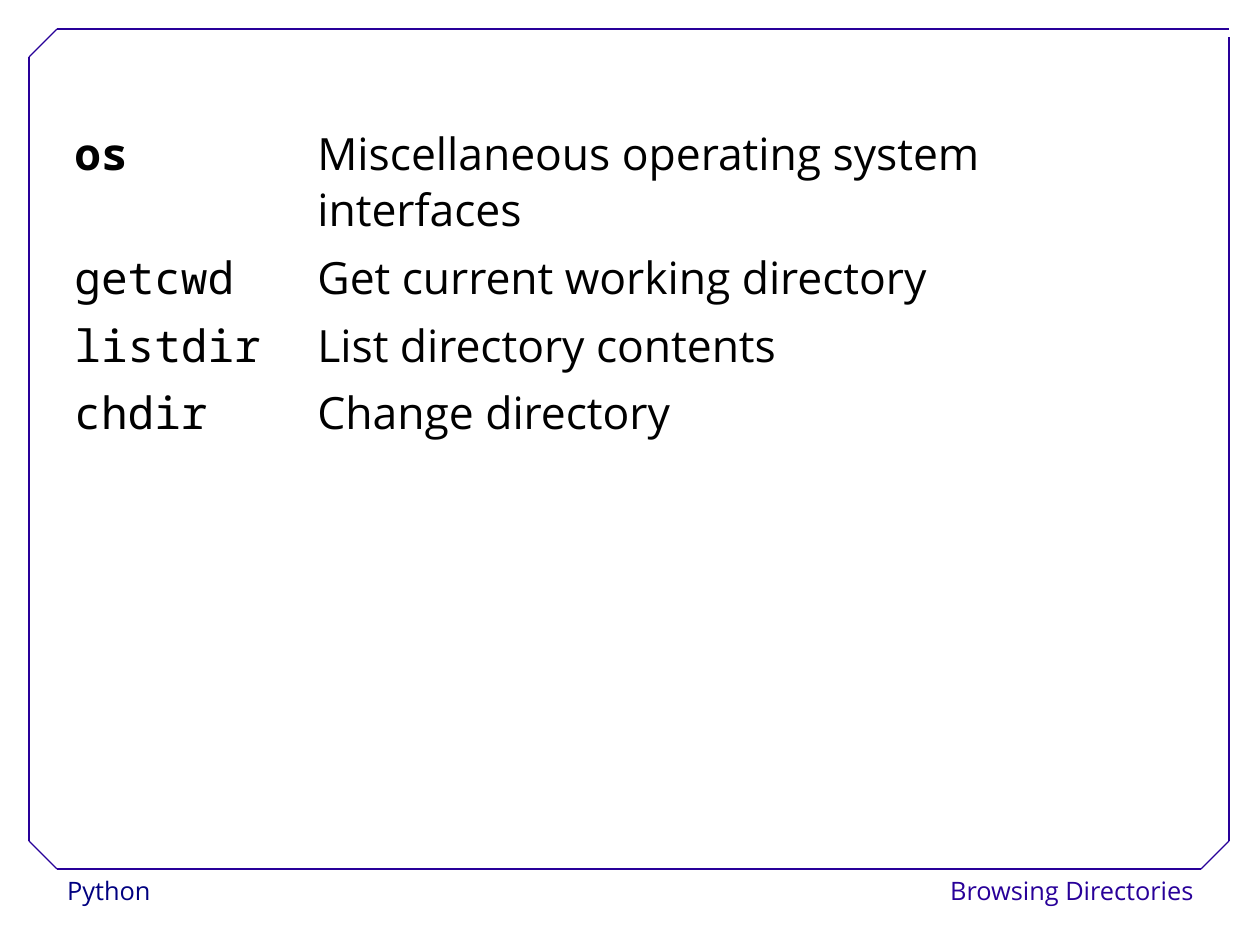
from pptx import Presentation
from pptx.dml.color import RGBColor
from pptx.enum.shapes import MSO_CONNECTOR as Connector, MSO_SHAPE as Shape
from pptx.enum.text import MSO_ANCHOR as Anchor, PP_ALIGN as Align
from pptx.oxml.ns import qn
from pptx.util import Emu, Pt
from lxml.etree import SubElement


def px(length):
    return Emu(length * 8000)


def color(value):
    return RGBColor.from_string(value)


class SlideBuilder:
    sans = "Open Sans"
    mono = "Noto Sans Mono"
    black = "000000"
    white = "FFFFFF"
    navy = "000080"
    violet = "280099"

    def __init__(self, presentation):
        self.slide = presentation.slides.add_slide(presentation.slide_layouts[6])

    def style(self, paragraph, font_name, size, ink, spacing, bold=False):
        paragraph.line_spacing = spacing
        font = paragraph.font
        font.name = font_name
        font.size = Pt(size)
        font.bold = bold
        font.color.rgb = color(ink)

    def line(self, start, end):
        connector = self.slide.shapes.add_connector(
            Connector.STRAIGHT, *map(px, start + end))
        connector.line.color.rgb = color(self.violet)
        connector.line.width = Pt(0.75)
        SubElement(connector._element.spPr, qn("a:effectLst"))

    def label(self, left, top, width, height, text, ink, align):
        shape = self.slide.shapes.add_shape(
            Shape.RECTANGLE, *map(px, (left, top, width, height)))
        shape.shadow.inherit = False
        shape.fill.solid()
        shape.fill.fore_color.rgb = color(self.white)
        shape.line.fill.background()
        frame = shape.text_frame
        frame.word_wrap = False
        frame.vertical_anchor = Anchor.TOP
        paragraph = frame.paragraphs[0]
        paragraph.text = text
        paragraph.alignment = align
        self.style(paragraph, self.sans, 16, ink, 1.02)

    def table(self, left, top, widths, heights, rows):
        table = self.slide.shapes.add_table(
            len(rows), len(widths), px(left), px(top),
            px(sum(widths)), px(sum(heights))).table
        table.first_row = False
        table.horz_banding = False
        for column, width in zip(table.columns, widths):
            column.width = px(width)
        for row_index, (row, height, texts) in enumerate(
                zip(table.rows, heights, rows)):
            row.height = px(height)
            for column_index, (cell, text) in enumerate(zip(row.cells, texts)):
                cell.fill.background()
                paragraph = cell.text_frame.paragraphs[0]
                paragraph.text = text
                paragraph.space_after = Pt(14.2)
                is_name = column_index == 0
                self.style(paragraph, self.mono if is_name else self.sans, 28,
                           self.black, 0.93, is_name and row_index == 0)


def main():
    presentation = Presentation()
    presentation.slide_width = px(1260)
    presentation.slide_height = px(945)
    builder = SlideBuilder(presentation)

    builder.label(56, 869, 246, 46, "Python", builder.navy, Align.LEFT)
    builder.label(1045, 869, 160, 46, "Browsing Directories",
                  builder.violet, Align.RIGHT)

    left, top, right, bottom, cut = 29, 29, 1229, 869, 28
    frame_lines = [
        ((left + cut, bottom), (right - cut, bottom)),
        ((left, bottom - cut), (left, top + cut)),
        ((left + cut, top), (right, top)),
        ((right, bottom - cut), (right, top + 8)),
        ((left, top + cut), (left + cut, top)),
        ((right - cut, bottom), (right, bottom - cut)),
        ((left, bottom - cut), (left + cut, bottom)),
    ]
    for start, end in frame_lines:
        builder.line(start, end)

    functions = [
        ("os", "Miscellaneous operating system interfaces"),
        ("getcwd", "Get current working directory"),
        ("listdir", "List directory contents"),
        ("chdir", "Change directory"),
    ]
    builder.table(63, 120, [243, 891], [111, 63, 63, 63], functions)

    presentation.save("out.pptx")


if __name__ == "__main__":
    main()
